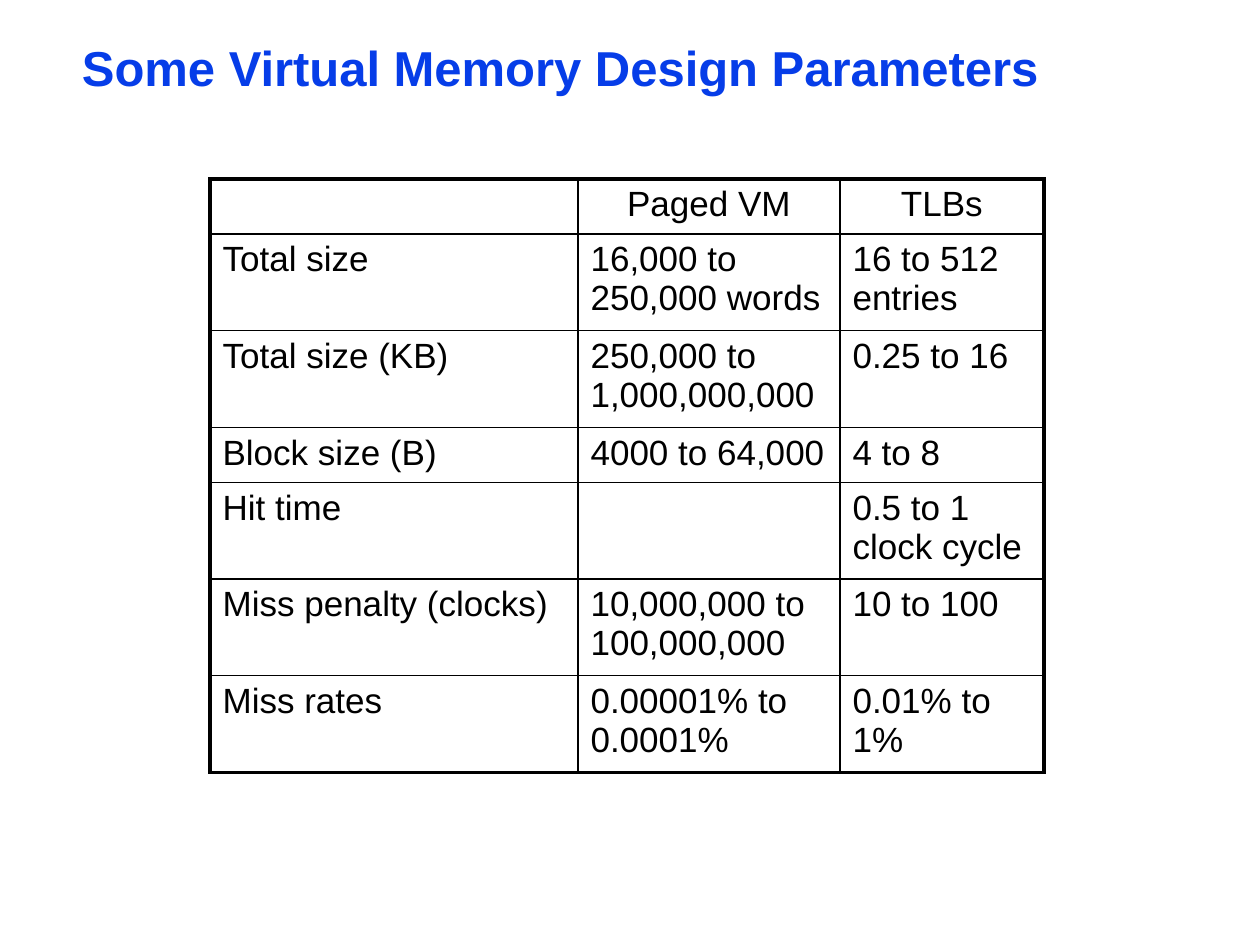
from typing import NamedTuple

import lxml.etree
import pptx
import pptx.dml.color
import pptx.enum.text
import pptx.oxml.ns
import pptx.util

SCALE = 914400 // 126
BLACK, WHITE, BLUE = "000000", "FFFFFF", "063DE8"
THIN, THICK = 1, 2.25
ALIGN = pptx.enum.text.PP_ALIGN


class Row(NamedTuple):
    label: str
    paged: str
    tlb: str
    high: int = 90


ROWS = [
    Row("", "Paged VM", "TLBs", 55),
    Row("Total size", "16,000 to 250,000 words", "16 to 512 entries"),
    Row("Total size (KB)", "250,000 to 1,000,000,000", "0.25 to 16"),
    Row("Block size (B)", "4000 to 64,000", "4 to 8", 55),
    Row("Hit time", "", "0.5 to 1 clock cycle"),
    Row("Miss penalty (clocks)", "10,000,000 to 100,000,000", "10 to 100"),
    Row("Miss rates", "0.00001% to 0.0001%", "0.01% to 1%"),
]
WIDTHS = [368, 262, 204]


def px(n: int) -> int:
    return n * SCALE


def tint(code: str) -> pptx.dml.color.RGBColor:
    return pptx.dml.color.RGBColor.from_string(code)


def write(frame, text: str, *, size: int = 20, color: str = BLACK,
          bold: bool = False, align=ALIGN.LEFT, line: float = 1.0) -> None:
    para = frame.paragraphs[0]
    para.alignment = align
    para.line_spacing = line
    para.font.size = pptx.util.Pt(size)
    if text:
        run = para.add_run()
        run.text = text
        run.font.name = "Arial"
        run.font.size = pptx.util.Pt(size)
        run.font.bold = bold
        run.font.color.rgb = tint(color)


def edge(cell, side: str, width: float) -> None:
    qn = pptx.oxml.ns.qn
    props = cell._tc.get_or_add_tcPr()
    line = lxml.etree.SubElement(props, qn(f"a:ln{side}"), w=str(int(width * 12700)))
    fill = lxml.etree.SubElement(line, qn("a:solidFill"))
    lxml.etree.SubElement(fill, qn("a:srgbClr"), val=BLACK)


def draw_title(slide) -> None:
    box = slide.shapes.add_textbox(px(73), px(42), px(1124), px(58))
    frame = box.text_frame
    frame.word_wrap = True
    frame.margin_left = frame.margin_right = px(9)
    frame.margin_top = frame.margin_bottom = px(4)
    write(frame, "Some Virtual Memory Design Parameters",
          size=28, color=BLUE, bold=True, line=0.87)


def draw_table(slide) -> None:
    high = sum(row.high for row in ROWS)
    table = slide.shapes.add_table(len(ROWS), len(WIDTHS), px(210), px(179),
                                   px(sum(WIDTHS)), px(high)).table
    table.first_row = table.horz_banding = False
    for col, width in zip(table.columns, WIDTHS):
        col.width = px(width)
    for r, row in enumerate(ROWS):
        table.rows[r].height = px(row.high)
        for c, text in enumerate((row.label, row.paged, row.tlb)):
            cell = table.cell(r, c)
            # Borders go before the fill, thick on the outside
            outer = {"L": c == 0, "R": c == len(WIDTHS) - 1,
                     "T": r == 0, "B": r == len(ROWS) - 1}
            for side, thick in outer.items():
                edge(cell, side, THICK if thick else THIN)
            cell.fill.solid()
            cell.fill.fore_color.rgb = tint(WHITE)
            write(cell.text_frame, text, align=ALIGN.LEFT if r else ALIGN.CENTER)


# Slide
deck = pptx.Presentation()
deck.slide_width, deck.slide_height = px(1260), px(945)
page = deck.slides.add_slide(deck.slide_layouts[6])

# Parts
draw_title(page)
draw_table(page)
deck.save("out.pptx")
